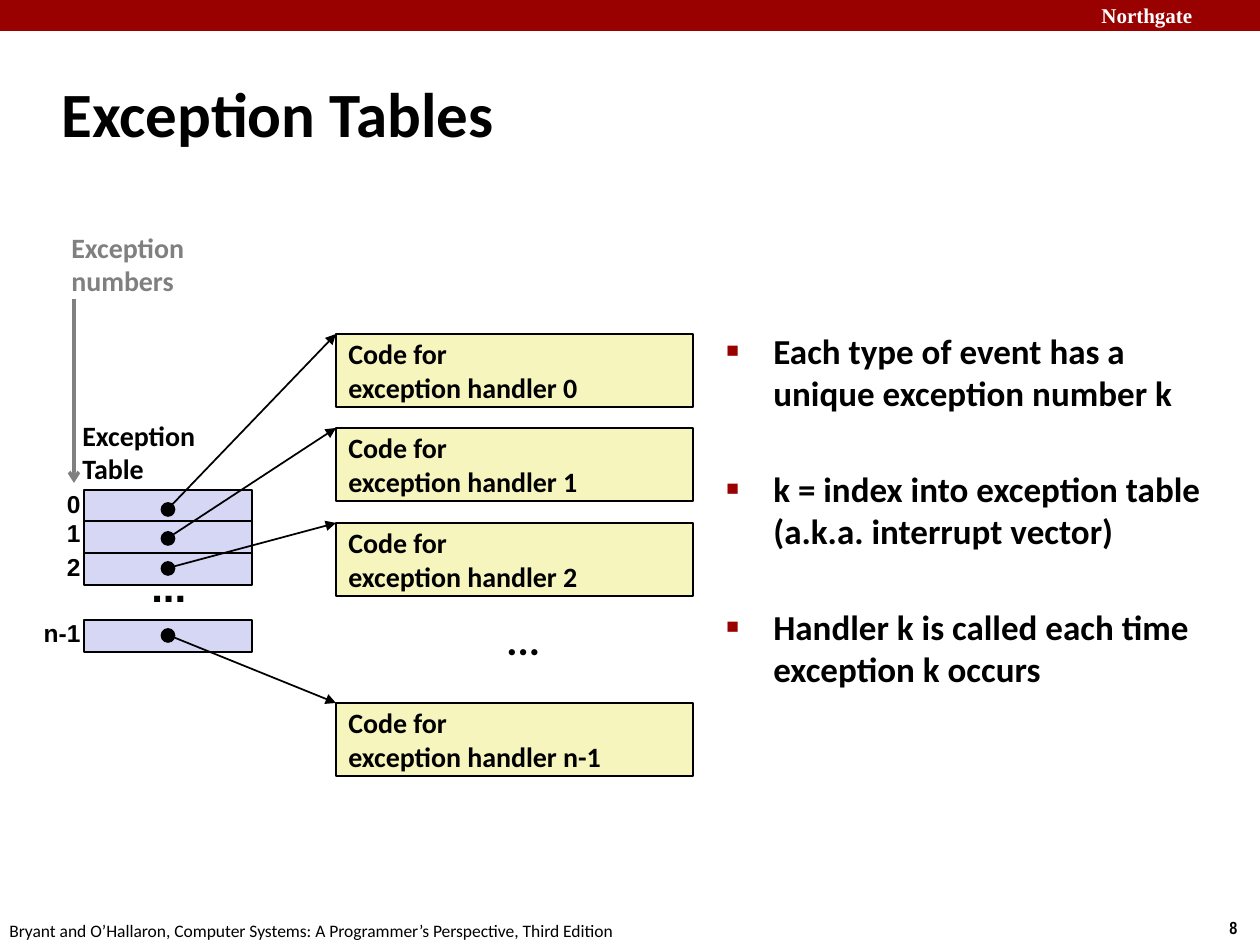
from lxml import etree
from pptx import Presentation
from pptx import util as u
from pptx.dml.color import RGBColor
from pptx.enum import shapes, text
from pptx.oxml.ns import qn

RED = RGBColor(0x99, 0x00, 0x00)
BLACK = RGBColor(0, 0, 0)
WHITE = RGBColor(0xFF, 0xFF, 0xFF)
GRAY = RGBColor(0x80, 0x80, 0x80)
LILAC = RGBColor(0xD6, 0xD6, 0xF5)
CREAM = RGBColor(0xF6, 0xF5, 0xBD)

# Content: number, row top, number label top, dot top, handler top
ENTRIES = [
    ("0", 490, 483, 503, 334),
    ("1", 521, 512, 532, 428),
    ("2", 553, 546, 562, 523),
    ("n-1", 620, 612, 629, 703),
]
POINTS = [
    ["Each type of event has a", "unique exception number k"],
    ["k = index into exception table", "(a.k.a. interrupt vector)"],
    ["Handler k is called each time", "exception k occurs"],
]
# Lines, box, size, font, colour, bold, anchor
MID, TOP = text.MSO_ANCHOR.MIDDLE, text.MSO_ANCHOR.TOP
LABELS = [
    (["Northgate Campus"], (1089, -4, 180, 38), 12, "Times New Roman", WHITE, True, TOP),
    (["8"], (1217, 911, 43, 34), 10, "Arial Narrow", BLACK, True, TOP),
    (["Bryant and O’Hallaron, Computer Systems: A Programmer’s Perspective, Third Edition"],
     (-3, 914, 640, 34), 10, "Calibri", BLACK, False, TOP),
    (["Exception Tables"], (49, 60, 1046, 105), 36, "Calibri", BLACK, True, MID),
    (["Exception", "numbers"], (59, 224, 146, 81), 16, "Calibri", GRAY, True, TOP),
    (["Exception", "Table"], (70, 412, 140, 81), 16, "Calibri", BLACK, True, TOP),
    (["..."], (139, 554, 60, 63), 24, "Arial", BLACK, True, MID),
    (["..."], (494, 607, 60, 63), 24, "Calibri", BLACK, True, MID),
]
ROW_X, ROW_W, ROW_H = 84, 168, 32
BOX_X, BOX_W, BOX_H = 336, 357, 73
DOT = 13
MID_X = ROW_X + ROW_W // 2

prs = Presentation()
PX = 914400 / 126


def px(n):
    return u.Emu(round(n * PX))


prs.slide_width, prs.slide_height = px(1260), px(945)
page = prs.slides.add_slide(prs.slide_layouts[6])


def write(par, words, size, font="Calibri", color=BLACK, bold=True):
    run = par.add_run()
    run.text = words
    run.font.size, run.font.name, run.font.bold = u.Pt(size), font, bold
    run.font.color.rgb = color


def fill_text(frame, lines, size, font="Calibri", color=BLACK, bold=True,
              anchor=MID, align=text.PP_ALIGN.LEFT):
    frame.word_wrap = False
    frame.vertical_anchor = anchor
    for i, line in enumerate(lines):
        par = frame.add_paragraph() if i else frame.paragraphs[0]
        par.alignment = align
        write(par, line, size, font, color, bold)


def text_box(x, y, w, h):
    return page.shapes.add_textbox(px(x), px(y), px(w), px(h)).text_frame


def shape(kind, x, y, w, h, fill, line=None):
    item = page.shapes.add_shape(kind, px(x), px(y), px(w), px(h))
    item.shadow.inherit = False
    item.fill.solid()
    item.fill.fore_color.rgb = fill
    if line:
        item.line.color.rgb, item.line.width = BLACK, u.Pt(line)
    else:
        item.line.fill.background()
    return item


def arrow(x1, y1, x2, y2, color, width, head):
    link = page.shapes.add_connector(
        shapes.MSO_CONNECTOR.STRAIGHT, px(x1), px(y1), px(x2), px(y2))
    link.line.color.rgb, link.line.width = color, u.Pt(width)
    etree.SubElement(link.line._get_or_add_ln(), qn("a:tailEnd"), type=head)
    etree.SubElement(link._element.spPr, qn("a:effectLst"))


RECT, OVAL = shapes.MSO_SHAPE.RECTANGLE, shapes.MSO_SHAPE.OVAL

# Header band
shape(RECT, 0, 0, 1260, 31, RED)

# Exception table rows and handler boxes
for num, row, label, dot, top in ENTRIES:
    shape(RECT, ROW_X, row, ROW_W, ROW_H, LILAC, 1)
    fill_text(text_box(31, label, 62, 41), [num], 14, "Arial",
              align=text.PP_ALIGN.RIGHT)
    box = shape(RECT, BOX_X, top, BOX_W, BOX_H, CREAM, 0.75)
    fill_text(box.text_frame, ["Code for", f"exception handler {num}"], 16)

# Dots and arrows lie over the rows
for num, row, label, dot, top in ENTRIES:
    shape(OVAL, MID_X - DOT / 2, dot, DOT, DOT, BLACK, 1)
    arrow(MID_X, dot + DOT // 2, BOX_X, top, BLACK, 1, "triangle")

# Title, captions, ellipses and footer
for lines, place, *style in LABELS:
    fill_text(text_box(*place), lines, *style)
arrow(74, 299, 74, 483, GRAY, 2, "arrow")

# Bullet points
body = text_box(714, 323, 525, 444)
body.word_wrap = True
for i, lines in enumerate(POINTS):
    par = body.add_paragraph() if i else body.paragraphs[0]
    par.space_before = u.Pt(31 if i else 0)
    props = par._p.get_or_add_pPr()
    props.set("marL", str(px(47)))
    props.set("indent", str(-px(47)))
    tint = etree.SubElement(props, qn("a:buClr"))
    etree.SubElement(tint, qn("a:srgbClr"), val=str(RED))
    etree.SubElement(props, qn("a:buSzPct"), val="60000")
    etree.SubElement(props, qn("a:buFont"), typeface="Arial")
    etree.SubElement(props, qn("a:buChar"), char="■")
    for j, line in enumerate(lines):
        if j:
            par.add_line_break()
        write(par, line, 20)

prs.save("out.pptx")
